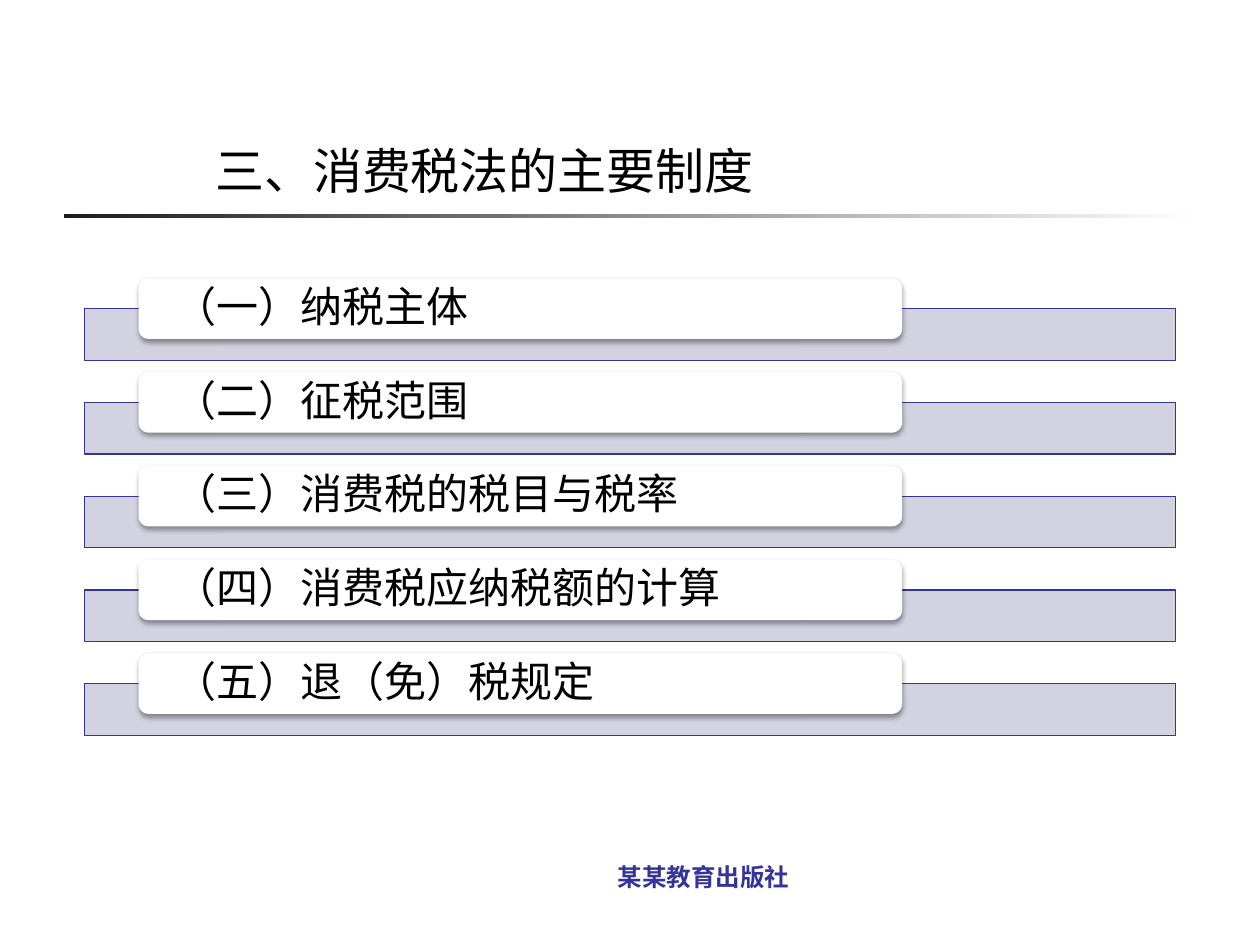
from lxml.etree import SubElement
from pptx import Presentation
from pptx.dml.color import RGBColor
from pptx.enum.shapes import MSO_SHAPE as Shape
from pptx.enum.text import MSO_ANCHOR as Anchor, MSO_AUTO_SIZE as AutoSize, PP_ALIGN as Align
from pptx.oxml.ns import qn
from pptx.util import Inches, Pt

CJK_FONT = "Noto Sans CJK SC"
TOPICS = ["（一）纳税主体", "（二）征税范围", "（三）消费税的税目与税率",
          "（四）消费税应纳税额的计算", "（五）退（免）税规定"]
FIRST_ROW, ROW_PITCH = 2.21, 0.744
BAR_DROP = 0.24


def color(hex_code):
    return RGBColor.from_string(hex_code)


def add_block(slide, kind, box, fill=None, line=None):
    block = slide.shapes.add_shape(kind, *map(Inches, box))
    block.shadow.inherit = False
    if fill:
        block.fill.solid()
        block.fill.fore_color.rgb = color(fill)
    if line:
        block.line.color.rgb = color(line)
        block.line.width = Pt(0.75)
    else:
        block.line.fill.background()
    return block


def set_alpha(fill_parent, percent):
    """Make the first RGB colour under the element partly transparent."""
    rgb = next(fill_parent.iter(qn("a:srgbClr")))
    SubElement(rgb, qn("a:alpha"), val=str(percent * 1000))


def add_drop_shadow(block):
    effects = block._element.spPr.find(qn("a:effectLst"))
    shadow = SubElement(effects, qn("a:outerShdw"), blurRad=str(Pt(3.1)),
                        dist=str(Pt(1.6)), dir="5400000", rotWithShape="0")
    SubElement(shadow, qn("a:srgbClr"), val="000000")
    set_alpha(shadow, 38)


def write(holder, text, size, font=CJK_FONT, hex_code="000000", bold=False,
          align=Align.LEFT, anchor=Anchor.MIDDLE, spacing=1.0, inset=0.1):
    frame = holder.text_frame
    frame.word_wrap = True
    frame.vertical_anchor = anchor
    frame.margin_left = frame.margin_right = Inches(inset)
    paragraph = frame.paragraphs[0]
    paragraph.alignment = align
    paragraph.line_spacing = spacing
    run = paragraph.add_run()
    run.text = text
    run.font.size = Pt(size)
    run.font.bold = bold
    run.font.color.rgb = color(hex_code)
    run.font.name = font
    SubElement(run._r.get_or_add_rPr(), qn("a:ea"), typeface=font)
    return frame


def add_label(slide, box, text, size, **style):
    return write(slide.shapes.add_textbox(*map(Inches, box)), text, size, **style)


def add_fading_rule(slide):
    rule = add_block(slide, Shape.RECTANGLE, (0.51, 1.7, 9, 0.03))
    rule.fill.gradient()
    rule.fill.gradient_angle = 0
    for stop, hex_code in zip(rule.fill.gradient_stops, ("1C1C1C", "FFFFFF")):
        stop.color.rgb = color(hex_code)


def add_topic(slide, row, topic):
    """A pale bar with a raised card that carries the topic."""
    top = FIRST_ROW + row * ROW_PITCH
    bar = add_block(slide, Shape.RECTANGLE, (0.67, top + BAR_DROP, 8.66, 0.41),
                    fill="CECEDE", line="333399")
    set_alpha(bar._element.spPr, 90)
    card = add_block(slide, Shape.ROUNDED_RECTANGLE, (1.1, top, 6.06, 0.48), fill="FFFFFF")
    add_drop_shadow(card)
    frame = write(card, topic, 24, spacing=0.9, inset=0.26)
    frame.margin_top = frame.margin_bottom = 0


def main():
    deck = Presentation()
    deck.slide_width, deck.slide_height = Inches(10), Inches(7.5)
    slide = deck.slides.add_slide(deck.slide_layouts[6])
    add_fading_rule(slide)
    add_label(slide, (4, 6.71, 3.17, 0.5), "某某教育出版社", 14, font="Karla",
              hex_code="333399", bold=True, align=Align.CENTER)
    title = add_label(slide, (1.61, 0.97, 5.59, 0.67), "三、消费税法的主要制度", 28,
                      anchor=Anchor.TOP, spacing=1.2)
    title.auto_size = AutoSize.SHAPE_TO_FIT_TEXT
    for row, topic in enumerate(TOPICS):
        add_topic(slide, row, topic)
    deck.save("out.pptx")


if __name__ == "__main__":
    main()
